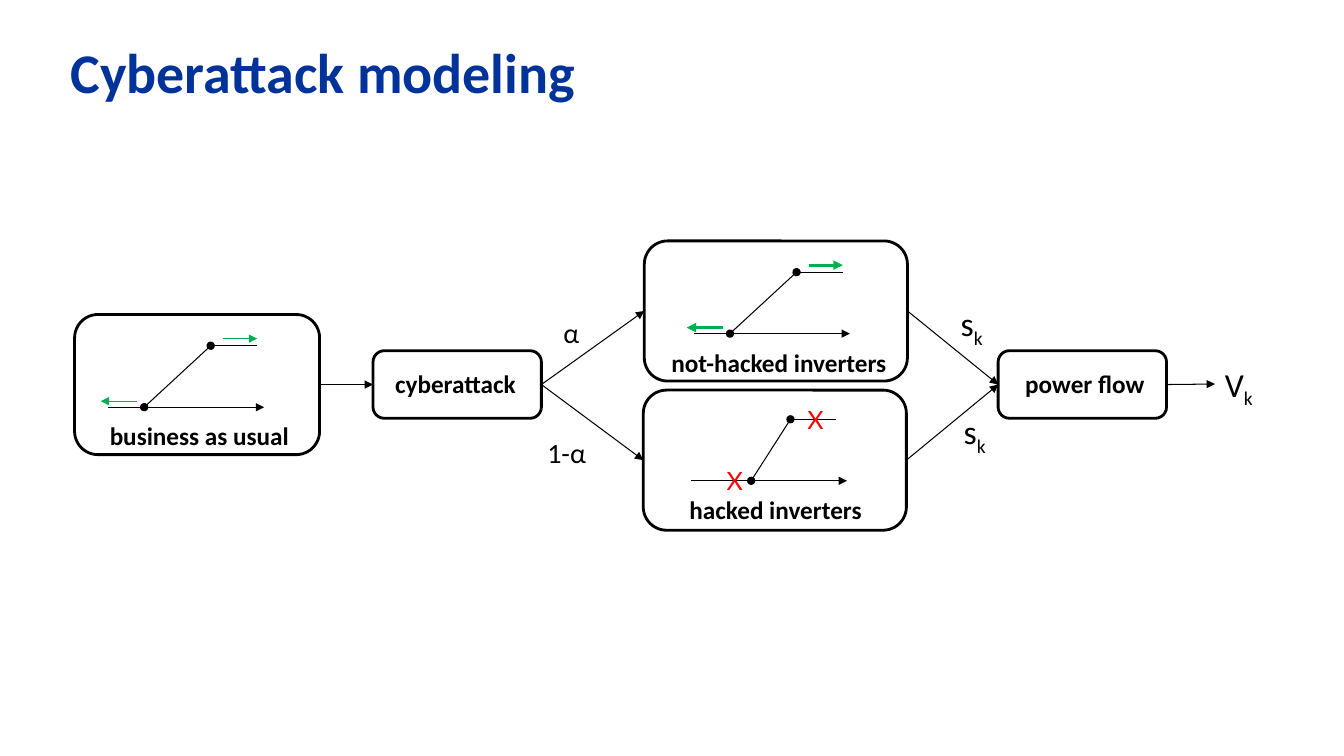
from lxml import etree
from pptx import Presentation
from pptx.dml.color import RGBColor
from pptx.enum.shapes import MSO_CONNECTOR, MSO_SHAPE
from pptx.enum.text import MSO_ANCHOR, MSO_AUTO_SIZE
from pptx.oxml.ns import qn
from pptx.util import Pt

STRAIGHT = MSO_CONNECTOR.STRAIGHT
ROUNDED = MSO_SHAPE.ROUNDED_RECTANGLE
TOP, MIDDLE = MSO_ANCHOR.TOP, MSO_ANCHOR.MIDDLE
FIT, FIXED = MSO_AUTO_SIZE.SHAPE_TO_FIT_TEXT, MSO_AUTO_SIZE.NONE
LEFT_SIDE, RIGHT_SIDE = 1, 3
PX = 9144  # 100 px to the inch

THEME = {
    "font": "Calibri", "mark_font": "Lato",
    "title": "003399", "ink": "000000", "green": "00B050", "red": "FF0000",
    "title_size": 40, "label_size": 18, "share_size": 20, "symbol_size": 24,
    "thin": 0.75, "thick": 2.25, "border": 2,
}

presentation = Presentation()
presentation.slide_width, presentation.slide_height = 1333 * PX, 750 * PX
slide = presentation.slides.add_slide(presentation.slide_layouts[6])


def add_text(text, left, top, width, height, size=THEME["label_size"],
             color=THEME["ink"], font=THEME["font"], bold=False, subscript="",
             anchor=TOP, insets=(10, 5, 10, 5), auto_size=FIT):
    shape = slide.shapes.add_textbox(left * PX, top * PX, width * PX, height * PX)
    frame = shape.text_frame
    frame.word_wrap = True
    frame.auto_size = auto_size
    frame.vertical_anchor = anchor
    (frame.margin_left, frame.margin_top,
     frame.margin_right, frame.margin_bottom) = [inset * PX for inset in insets]
    paragraph = frame.paragraphs[0]
    for part in filter(None, (text, subscript)):
        run = paragraph.add_run()
        run.text = part
        run.font.size, run.font.name, run.font.bold = Pt(size), font, bold
        run.font.color.rgb = RGBColor.from_string(color)
    if subscript:
        run._r.get_or_add_rPr().set("baseline", "-25000")


def add_line(start, end, color=THEME["ink"], width=THEME["thin"], head=None, tail=None):
    connector = slide.shapes.add_connector(STRAIGHT, *[value * PX for value in start + end])
    connector.line.color.rgb = RGBColor.from_string(color)
    connector.line.width = Pt(width)
    properties = connector._element.spPr
    for tag, kind in (("a:headEnd", head), ("a:tailEnd", tail)):
        if kind:
            etree.SubElement(properties.find(qn("a:ln")), qn(tag)).set("type", kind)
    etree.SubElement(properties, qn("a:effectLst"))
    return connector


# Title
add_text("Cyberattack modeling", 60, 0, 688, 145, size=THEME["title_size"],
         color=THEME["title"], bold=True, anchor=MIDDLE, insets=(10, 0, 10, 5),
         auto_size=FIXED)

# Stages: box, then label with its place
stages = {}
for name, box, label in [
    ("business as usual", (74, 312, 243, 139), (99, 412, 208, 40)),
    ("cyberattack", (370, 348, 167, 67), (382, 361, 149, 40)),
    ("not-hacked inverters", (639, 239, 261, 139), (656, 340, 244, 40)),
    ("hacked inverters", (638, 387, 261, 139), (674, 486, 227, 40)),
    ("power flow", (990, 348, 167, 67), (1007, 361, 149, 40)),
]:
    shape = slide.shapes.add_shape(ROUNDED, *[value * PX for value in box])
    shape.shadow.inherit = False
    shape.fill.background()
    shape.line.color.rgb = RGBColor.from_string(THEME["ink"])
    shape.line.width = Pt(THEME["border"])
    stages[name] = shape
    add_text(name, *label, bold=True)

# Inverter curves: axis start, foot and knee offsets, end of the flat part, arrow width
RISE = 61
for left, base, foot, knee, flat_end, arrow_width in [
    (107, 404, 36, 102, 148, THEME["thin"]),
    (688, 331, 36, 102, 148, THEME["thick"]),
    (685, 477, 60, 99, 144, None),
]:
    top = base - RISE
    add_line((left, base), (left + 155, base), tail="triangle")
    add_line((left + flat_end, top), (left + knee, top))
    add_line((left + knee, top), (left + foot, base), head="oval", tail="oval")
    if arrow_width:
        for start, end, y in ((knee + 12, flat_end, top - 7), (foot - 7, -7, base - 6)):
            add_line((left + start, y), (left + end, y), color=THEME["green"],
                     width=arrow_width, tail="triangle")

# Crosses on the hacked curve
for left, top in ((791, 396), (711, 457)):
    add_text("X", left, top, 43, 40, color=THEME["red"], font=THEME["mark_font"])

# Flow between stages
for source, target in [
    ("business as usual", "cyberattack"),
    ("cyberattack", "not-hacked inverters"),
    ("cyberattack", "hacked inverters"),
    ("not-hacked inverters", "power flow"),
    ("hacked inverters", "power flow"),
]:
    connector = add_line((0, 0), (0, 0), tail="triangle")
    connector.begin_connect(stages[source], RIGHT_SIDE)
    connector.end_connect(stages[target], LEFT_SIDE)
output_arrow = add_line((1157, 381), (1205, 381), tail="triangle")
output_arrow.begin_connect(stages["power flow"], RIGHT_SIDE)

# Shares and signals on the flow
for share, left, top in (("α", 549, 308), ("1-α", 533, 427)):
    add_text(share, left, top, 72, 44, size=THEME["share_size"])
for symbol, left, top, width in (("s", 943, 296, 54), ("s", 946, 403, 61), ("V", 1205, 356, 65)):
    add_text(symbol, left, top, width, 50, size=THEME["symbol_size"], subscript="k")

presentation.save("out.pptx")
